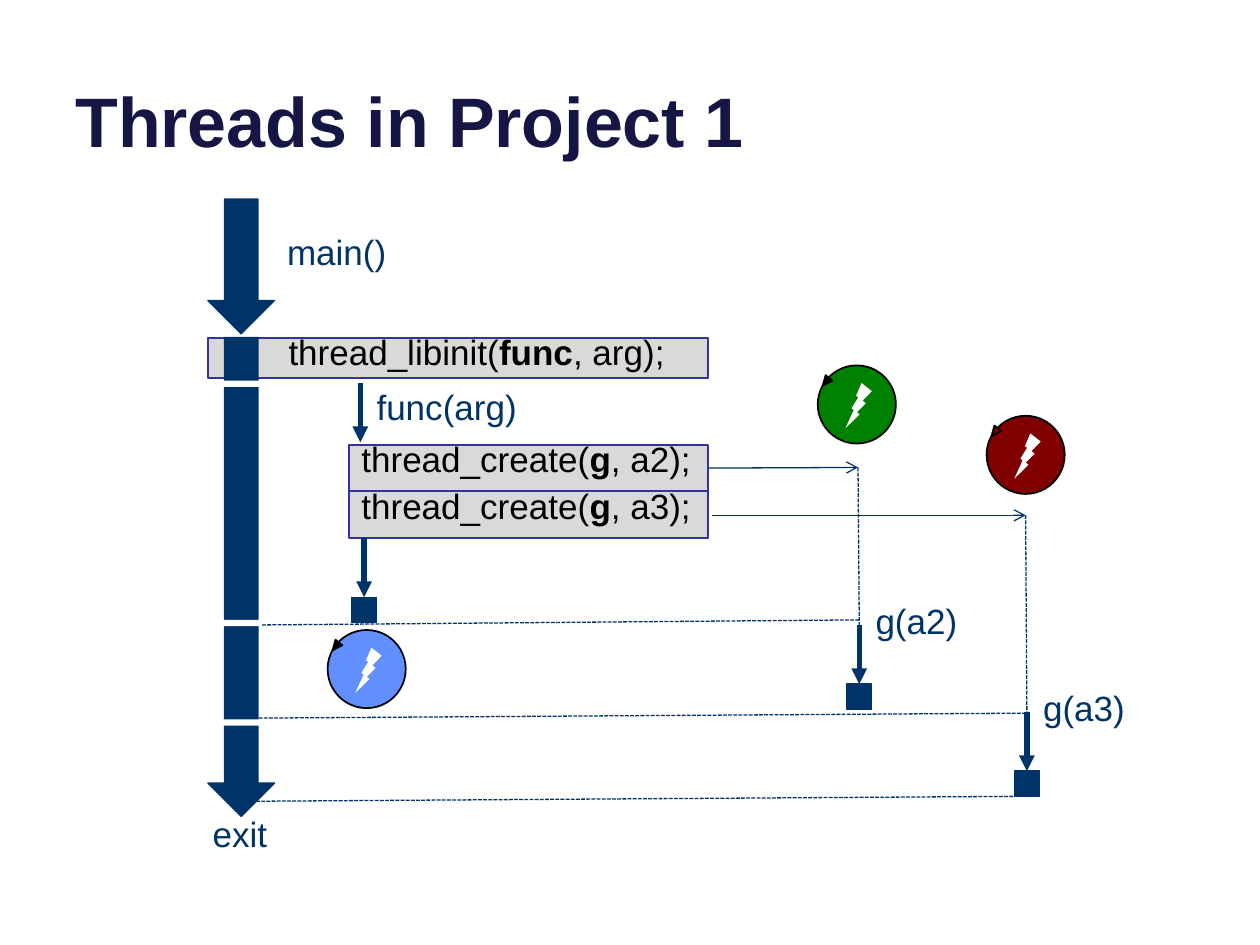
from pptx import Presentation
from pptx.dml.color import RGBColor
from pptx.enum.dml import MSO_LINE
from pptx.enum.shapes import MSO_CONNECTOR, MSO_SHAPE
from pptx.enum.text import MSO_ANCHOR, PP_ALIGN
from pptx.oxml.ns import qn
from pptx.util import Inches, Pt
from lxml.etree import SubElement

NAVY = RGBColor(0x00, 0x33, 0x67)
TITLE_INK = RGBColor(0x16, 0x16, 0x45)
BAR_GRAY = RGBColor(0xD9, 0xD9, 0xD9)
BAR_EDGE = RGBColor(0x33, 0x33, 0x99)
BLACK = RGBColor(0x00, 0x00, 0x00)
WHITE = RGBColor(0xFF, 0xFF, 0xFF)
BLUE = RGBColor(0x61, 0x8F, 0xFD)
GREEN = RGBColor(0x00, 0x80, 0x00)
MAROON = RGBColor(0x80, 0x00, 0x00)
SQUARE = 0.2


def add_span(para, text, size, color, bold=False):
    span = para.add_run()
    span.text = text
    span.font.name = "Arial"
    span.font.size = Pt(size)
    span.font.bold = bold
    span.font.color.rgb = color


def add_label(page, box, text, size=20, color=NAVY, bold=False, anchor=MSO_ANCHOR.TOP):
    frame = page.shapes.add_textbox(*map(Inches, box)).text_frame
    frame.word_wrap = True
    frame.vertical_anchor = anchor
    add_span(frame.paragraphs[0], text, size, color, bold)


def add_figure(shapes, kind, box, fill, edge=None, width=0.75):
    figure = shapes.add_shape(kind, *map(Inches, box))
    figure.shadow.inherit = False
    figure.fill.solid()
    figure.fill.fore_color.rgb = fill
    if edge is None:
        figure.line.fill.background()
    else:
        figure.line.color.rgb = edge
        figure.line.width = Pt(width)
    return figure


def add_line(page, start, end, width=0.75, head=None, dashed=False):
    """Draw a navy line; head is the arrowhead type at its end."""
    line = page.shapes.add_connector(MSO_CONNECTOR.STRAIGHT, *map(Inches, start + end))
    line.line.color.rgb = NAVY
    line.line.width = Pt(width)
    if dashed:
        line.line.dash_style = MSO_LINE.SQUARE_DOT
    if head:
        SubElement(line.line._get_or_add_ln(), qn("a:tailEnd"), type=head)
    SubElement(line._element.spPr, qn("a:effectLst"))
    return line


def add_call_bar(page, box, before, name, after, indent=0.1):
    """Draw a gray bar holding a call whose function argument is bold."""
    bar = add_figure(page.shapes, MSO_SHAPE.RECTANGLE, box, BAR_GRAY, BAR_EDGE, 1)
    frame = bar.text_frame
    frame.vertical_anchor = MSO_ANCHOR.TOP
    frame.margin_left = Inches(indent)
    para = frame.paragraphs[0]
    para.alignment = PP_ALIGN.LEFT
    para.line_spacing = 0.65
    for text, bold in ((before, False), (name, True), (after, False)):
        add_span(para, text, 20, BLACK, bold)
    return bar


def add_thread_badge(page, left, top, color, arrow_color=BLACK):
    """Draw a circling arrow around a lightning bolt."""
    shapes = page.shapes.add_group_shape().shapes
    add_figure(shapes, MSO_SHAPE.OVAL, (left, top, 0.62, 0.62), color, BLACK, 1)
    bolt = add_figure(shapes, MSO_SHAPE.LIGHTNING_BOLT,
                      (left + 0.22, top + 0.14, 0.21, 0.36), WHITE)
    bolt._element.spPr.xfrm.set("flipH", "1")
    tip = add_figure(shapes, MSO_SHAPE.ISOSCELES_TRIANGLE,
                     (left + 0.03, top + 0.09, 0.07, 0.08), arrow_color, BLACK, 1)
    tip.rotation = 219


def add_thread_run(page, center, top):
    """Draw a short thick arrow that ends on a square."""
    square_top = top + 0.47
    square = add_figure(page.shapes, MSO_SHAPE.RECTANGLE,
                        (center - SQUARE / 2, square_top, SQUARE, SQUARE), NAVY, NAVY)
    arrow = add_line(page, (center, top), (center, square_top), 3, "triangle")
    arrow.end_connect(square, 0)
    return square


def add_main_thread(page, left, top):
    for offset, height in ((0, 1.07), (1.1, 3.8)):
        add_figure(page.shapes, MSO_SHAPE.DOWN_ARROW,
                   (left, top + offset, 0.53, height), NAVY, NAVY)
    for offset in (1.44, 3.34, 4.13):
        add_figure(page.shapes, MSO_SHAPE.RECTANGLE,
                   (left, top + offset, 0.53, 0.05), WHITE)
    add_label(page, (left + 0.53, top + 0.2, 1.33, 0.44), "main()")
    add_label(page, (left - 0.06, top + 4.82, 1.33, 0.44), "exit")


def add_func_thread(page, left, top):
    """Draw func(arg) and its two creation calls; return the first call's bar."""
    add_line(page, (left + 0.09, top), (left + 0.09, top + 0.47), 3, "triangle")
    add_label(page, (left + 0.12, top - 0.03, 1.79, 0.44), "func(arg)")
    bars = [add_call_bar(page, (left, top + 0.49 + 0.37 * row, 2.85, 0.37),
                         "thread_create(", "g", f", {argument});")
            for row, argument in enumerate(("a2", "a3"))]
    add_thread_run(page, left + 0.12, top + 1.23)
    add_thread_badge(page, left - 0.17, top + 1.96, BLUE)
    return bars[0]


def add_created_thread(page, call_end, center, run_top, label):
    """Draw the path from a call to its new thread; return path and square."""
    call_y = call_end[1]
    path = add_line(page, call_end, (center - 0.01, call_y), head="arrow")
    add_line(page, (center - 0.01, call_y), (center, run_top), dashed=True)
    square = add_thread_run(page, center, run_top)
    add_label(page, (center + 0.03, run_top - 0.25, 0.99, 0.44), label)
    return path, square


def main():
    deck = Presentation()
    deck.slide_width, deck.slide_height = Inches(10), Inches(7.5)
    page = deck.slides.add_slide(deck.slide_layouts[6])

    add_label(page, (0.5, -0.37, 9, 1.7), "Threads in Project 1", 40, TITLE_INK,
              True, MSO_ANCHOR.BOTTOM)
    add_call_bar(page, (1.65, 2.68, 3.97, 0.32), "thread_libinit(", "func",
                 ", arg);", indent=0.64)
    add_main_thread(page, 1.65, 1.58)
    first_bar = add_func_thread(page, 2.77, 3.04)

    first_path, _ = add_created_thread(page, (5.62, 3.71), 6.82, 4.96, "g(a2)")
    first_path.begin_connect(first_bar, 3)
    _, last_square = add_created_thread(page, (5.65, 4.09), 8.15, 5.65, "g(a3)")
    add_thread_badge(page, 6.49, 2.9, GREEN)
    add_thread_badge(page, 7.83, 3.3, MAROON, MAROON)

    add_line(page, (2.08, 4.96), (6.82, 4.92), dashed=True)
    add_line(page, (1.93, 5.7), (8.15, 5.66), dashed=True)
    exit_line = add_line(page, (1.91, 6.36), (8.15, 6.32), dashed=True)
    exit_line.end_connect(last_square, 2)
    deck.save("out.pptx")


if __name__ == "__main__":
    main()
